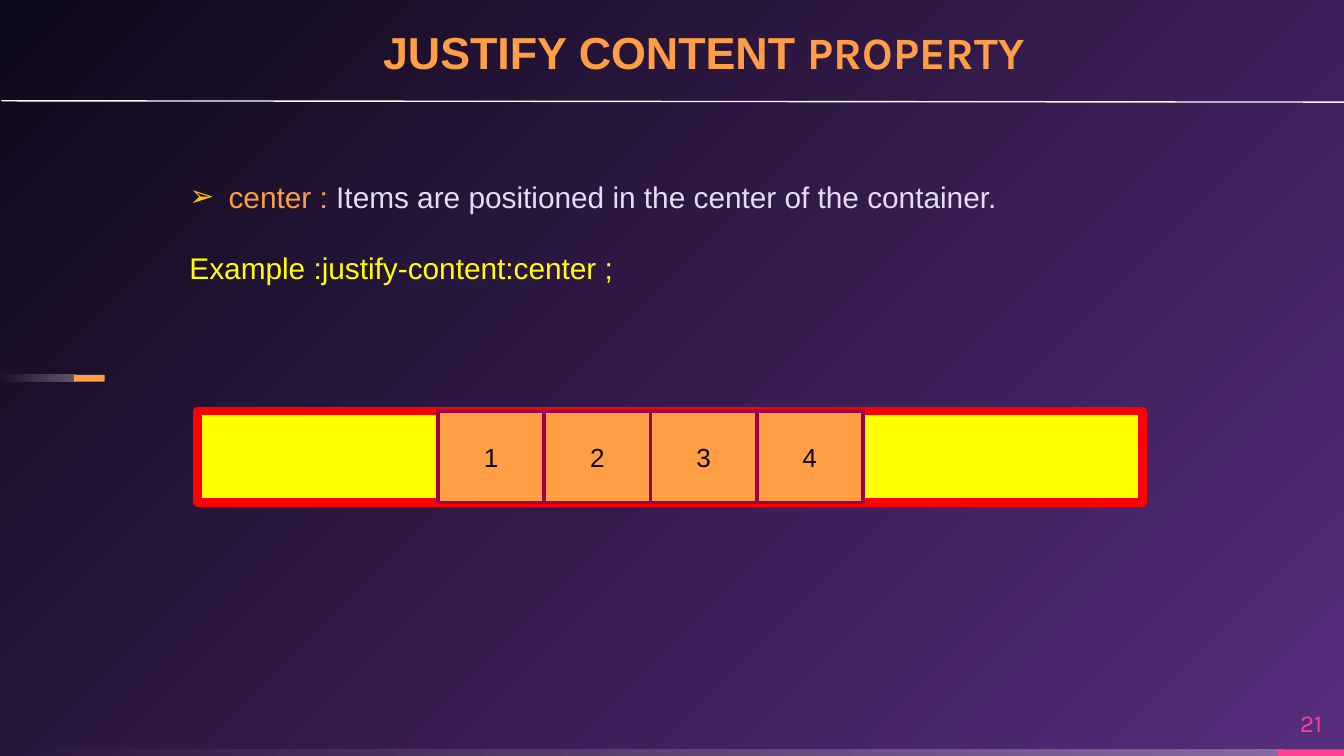
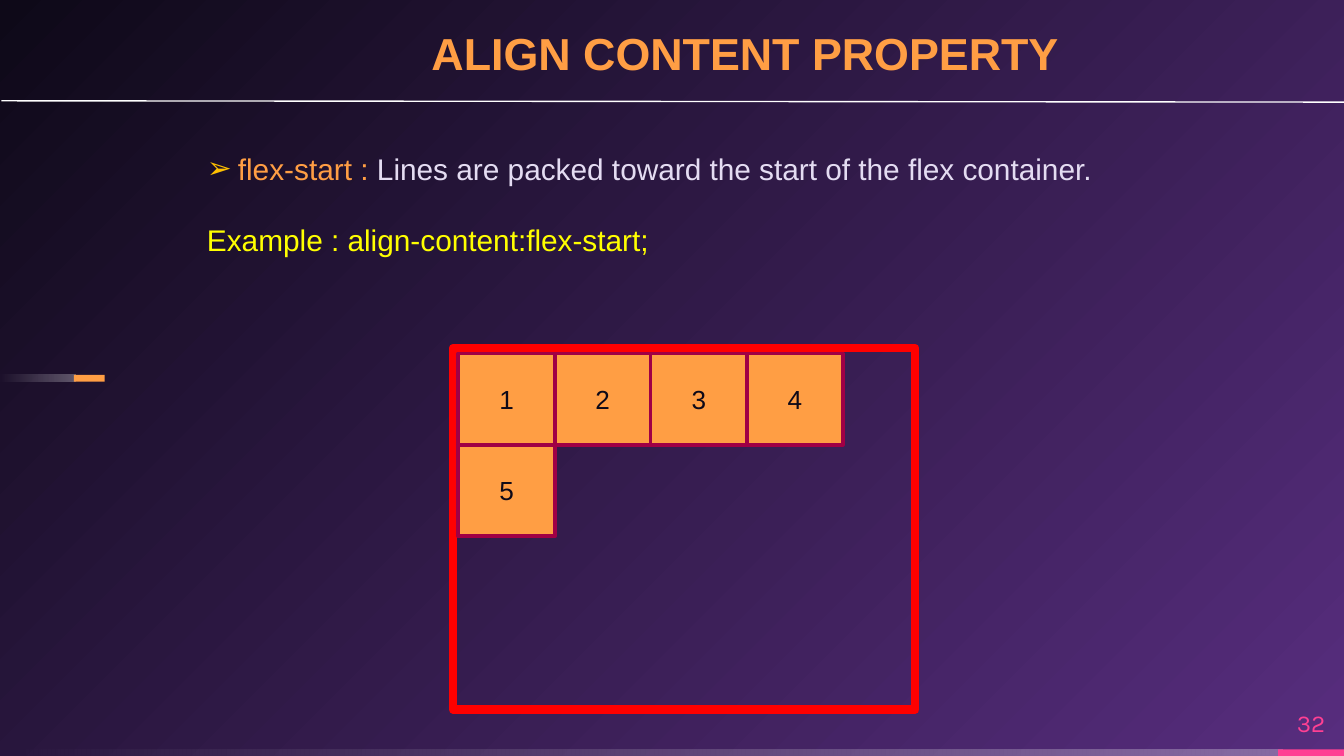
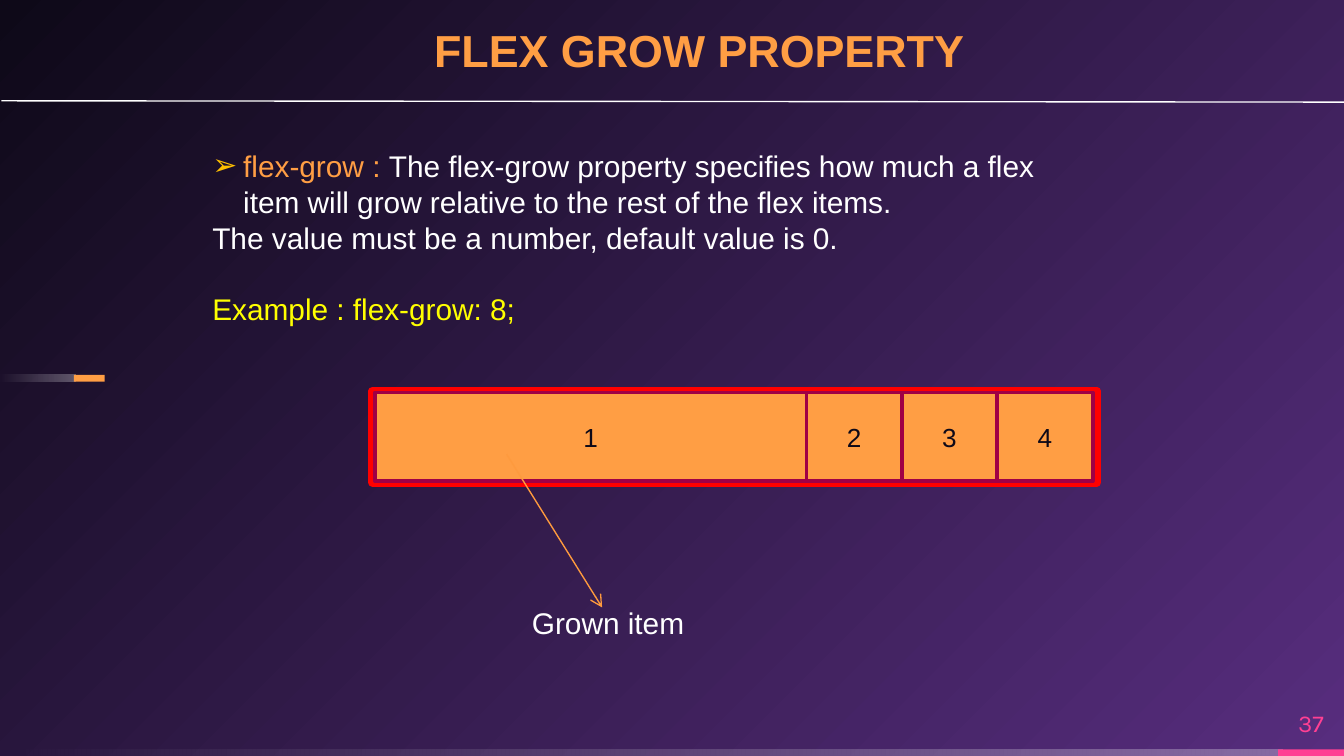
from itertools import accumulate

from pptx import Presentation
from pptx.dml.color import RGBColor
from pptx.enum.shapes import MSO_CONNECTOR, MSO_SHAPE
from pptx.enum.text import MSO_ANCHOR, MSO_AUTO_SIZE, PP_ALIGN
from pptx.oxml.ns import qn
from pptx.oxml.xmlchemy import OxmlElement
from pptx.util import Inches, Pt

COLORS = {
    "glow": "572D7E", "night": "0E0918", "orange": "FF9E44", "pink": "FF4093",
    "white": "FFFFFF", "lilac": "E4DCF2", "yellow": "FFFF00", "red": "FF0000",
    "plum": "A00045", "gold": "FFC000", "arrow": "FE9A3E",
}
WIDTH = 10
HEIGHT = WIDTH * 9 / 16
BAND = 0.05          # thickness of the decorative bands
INDENT = 0.23        # hanging indent of the bulleted line
GAP = 19             # one empty line, in points

# Body lines: (bulleted, space before, [(text, colour), ...])
# Items fill the given column widths and wrap to further rows.
SLIDES = [
    {
        "number": "21",
        "title": [("JUSTIFY CONTENT ", "Arial"), ("PROPERTY", "Karla")],
        "title_box": (2.85, 0.16, 5.71, 0.43),
        "title_spacing": 0.9,
        "body_box": (1.31, 1.28, 6.28, 0.91),
        "body": [
            (True, 0, [(" center :", "orange"),
                       (" Items are positioned in the center of the container.", "lilac")]),
            (False, GAP, [("Example :justify-content:center ;", "yellow")]),
        ],
        "container": (1.47, 3.06, 7.03, 0.68),
        "container_fill": "yellow",
        "items": "1234",
        "origin": (3.26, 3.06),
        "columns": [0.79] * 4,
        "row": 0.68,
    },
    {
        "number": "32",
        "title": [("ALIGN CONTENT PROPERTY", "Arial")],
        "title_box": (3.21, 0.16, 5.69, 0.43),
        "body_box": (1.44, 1.07, 7.34, 1.18),
        "body": [
            (True, 0, [("flex-start : ", "orange"),
                       ("Lines are packed toward the start of the flex container.", "lilac")]),
            (False, GAP, [("Example : align-content:flex-start;", "yellow")]),
        ],
        "container": (3.37, 2.59, 3.44, 2.69),
        "items": "12345",
        "origin": (3.41, 2.63),
        "columns": [0.72, 0.71] * 2,
        "row": 0.68,
    },
    {
        "number": "37",
        "title": [("FLEX GROW PROPERTY", "Arial")],
        "title_box": (3.23, 0.14, 4.89, 0.43),
        "body_box": (1.48, 1.05, 6.34, 1.45),
        "body": [
            (True, 0, [("flex-grow : ", "orange"),
                       ("The flex-grow property specifies how much a flex item will grow "
                        "relative to the rest of the flex items.", "white")]),
            (False, 0, [("The value must be a number, default value is 0.", "white")]),
            (False, GAP, [("Example : flex-grow: 8;", "yellow")]),
        ],
        "container": (2.77, 2.91, 5.39, 0.68),
        "items": "1234",
        "origin": (2.79, 2.92),
        "columns": [3.21] + [0.71] * 3,
        "row": 0.66,
        "callout": ("Grown item", (3.86, 4.45, 1.63, 0.37), (3.77, 3.38), (4.48, 4.52)),
    },
]


def rgb(name):
    return RGBColor.from_string(COLORS[name])


def inches(values):
    return [Inches(value) for value in values]


def set_font(font, size=None, color=None, name="Arial", bold=None):
    font.name, font.bold = name, bold
    if size:
        font.size = Pt(size)
    if color:
        font.color.rgb = rgb(color)


def move(placeholder, box):
    placeholder.left, placeholder.top, placeholder.width, placeholder.height = inches(box)


def clear_margins(frame):
    frame.margin_left = frame.margin_right = frame.margin_top = frame.margin_bottom = 0


def add_box(slide, box, fill=None, line=None, weight=0, preset=MSO_SHAPE.RECTANGLE):
    part = slide.shapes.add_shape(preset, *inches(box))
    part.shadow.inherit = False
    if fill:
        part.fill.solid()
        part.fill.fore_color.rgb = rgb(fill)
    else:
        part.fill.background()
    if line:
        part.line.color.rgb = rgb(line)
        part.line.width = Pt(weight)
    else:
        part.line.fill.background()
    return part


def add_line(slide, start, end, color, arrow=False):
    line = slide.shapes.add_connector(MSO_CONNECTOR.STRAIGHT, *inches(start + end))
    line.line.color.rgb = rgb(color)
    line.line.width = Pt(0.75)
    if arrow:
        tip = OxmlElement("a:tailEnd")
        tip.set("type", "arrow")
        line.line._get_or_add_ln().append(tip)
    line._element.spPr.append(OxmlElement("a:effectLst"))


def add_label(slide, box, text, size, color, name="Arial"):
    label = slide.shapes.add_textbox(*inches(box))
    label.text_frame.word_wrap = True
    line = label.text_frame.paragraphs[0]
    line.text = text
    set_font(line.font, size, color, name)
    return label.text_frame


def set_background(master):
    fill = master.background.fill
    fill.gradient()
    for stop, color in zip(fill.gradient_stops, ("glow", "night")):
        stop.color.rgb = rgb(color)
    gradient = master._element.find(".//" + qn("a:gradFill"))
    gradient.remove(gradient.find(qn("a:lin")))
    circle = OxmlElement("a:path")
    circle.set("path", "circle")
    center = OxmlElement("a:fillToRect")
    center.set("l", "100000")
    center.set("t", "100000")
    circle.append(center)
    gradient.append(circle)


def fade(band):
    """Fade white from 30 % at the right to nothing at the left."""
    band.fill.gradient()
    band.fill.gradient_angle = 180
    for stop in band.fill.gradient_stops:
        stop.color.rgb = rgb("white")
    for color, share in zip(band._element.spPr.iter(qn("a:srgbClr")), (30, 0)):
        alpha = OxmlElement("a:alpha")
        alpha.set("val", str(share * 1000))
        color.append(alpha)


def add_bands(slide, layout):
    """Draw the bands and move them to the layout, where all slides share them."""
    bottom, middle = HEIGHT - BAND, 2.79
    fading = [add_box(slide, (0, bottom, 9.54, BAND), "white"),
              add_box(slide, (0, middle, 0.56, BAND), "white")]
    for band in fading:
        fade(band)
    solid = [add_box(slide, (9.51, bottom, 0.49, BAND), "pink"),
             add_box(slide, (0.55, middle, 0.23, BAND), "orange")]
    for number, band in enumerate(fading + solid, 101):
        band._element.nvSpPr.cNvPr.set("id", str(number))
        layout.shapes._spTree.append(band._element)


def fill_title(slide, content):
    title = slide.shapes.title
    move(title, content["title_box"])
    frame = title.text_frame
    clear_margins(frame)
    frame.vertical_anchor = MSO_ANCHOR.BOTTOM
    line = frame.paragraphs[0]
    line.alignment = PP_ALIGN.LEFT
    line.line_spacing = content.get("title_spacing", 1.0)
    for text, name in content["title"]:
        run = line.add_run()
        run.text = text
        set_font(run.font, 24, "orange", name, True)


def set_bullet(line, bulleted):
    properties = line._p.get_or_add_pPr()
    indent = Inches(INDENT) if bulleted else 0
    properties.set("marL", str(indent))
    properties.set("indent", str(-indent))
    if not bulleted:
        properties.append(OxmlElement("a:buNone"))
        return
    color, value = OxmlElement("a:buClr"), OxmlElement("a:srgbClr")
    value.set("val", COLORS["gold"])
    color.append(value)
    mark = OxmlElement("a:buChar")
    mark.set("char", "➢")
    properties.append(color)
    properties.append(mark)


def fill_body(slide, content):
    body = slide.placeholders[1]
    move(body, content["body_box"])
    frame = body.text_frame
    frame.auto_size = MSO_AUTO_SIZE.SHAPE_TO_FIT_TEXT
    for index, (bulleted, gap, runs) in enumerate(content["body"]):
        line = frame.add_paragraph() if index else frame.paragraphs[0]
        line.alignment = PP_ALIGN.LEFT
        line.line_spacing = 1.0
        line.space_before = Pt(gap)
        set_bullet(line, bulleted)
        set_font(line.font, 16)
        for text, color in runs:
            run = line.add_run()
            run.text = text
            set_font(run.font, 16, color)


def add_flexbox(slide, content):
    process = MSO_SHAPE.FLOWCHART_PROCESS
    add_box(slide, content["container"], content.get("container_fill"), "red", 4.5, process)
    left, top = content["origin"]
    columns, height = content["columns"], content["row"]
    offsets = list(accumulate(columns, initial=0))
    for index, text in enumerate(content["items"]):
        row, column = divmod(index, len(columns))
        box = (left + offsets[column], top + row * height, columns[column], height)
        item = add_box(slide, box, "orange", "plum", 2, process)
        item.text_frame.vertical_anchor = MSO_ANCHOR.MIDDLE
        line = item.text_frame.paragraphs[0]
        line.text = text
        line.alignment = PP_ALIGN.CENTER
        set_font(line.font, 14, "night")


def add_number(slide, number):
    frame = add_label(slide, (9.51, 5.19, 0.49, 0.38), number, 13, "pink", "Karla")
    clear_margins(frame)
    frame.vertical_anchor = MSO_ANCHOR.MIDDLE
    frame.paragraphs[0].alignment = PP_ALIGN.CENTER


def main():
    deck = Presentation()
    deck.slide_width, deck.slide_height = inches((WIDTH, HEIGHT))
    layout = deck.slide_layouts[1]
    set_background(deck.slide_master)
    for content in SLIDES:
        slide = deck.slides.add_slide(layout)
        if content is SLIDES[0]:
            add_bands(slide, layout)
        fill_title(slide, content)
        fill_body(slide, content)
        add_line(slide, (0.01, 0.75), (10.14, 0.76), "white")
        add_flexbox(slide, content)
        if "callout" in content:
            text, box, start, end = content["callout"]
            add_label(slide, box, text, 16, "white")
            add_line(slide, start, end, "arrow", arrow=True)
        add_number(slide, content["number"])
    deck.save("out.pptx")


if __name__ == "__main__":
    main()
